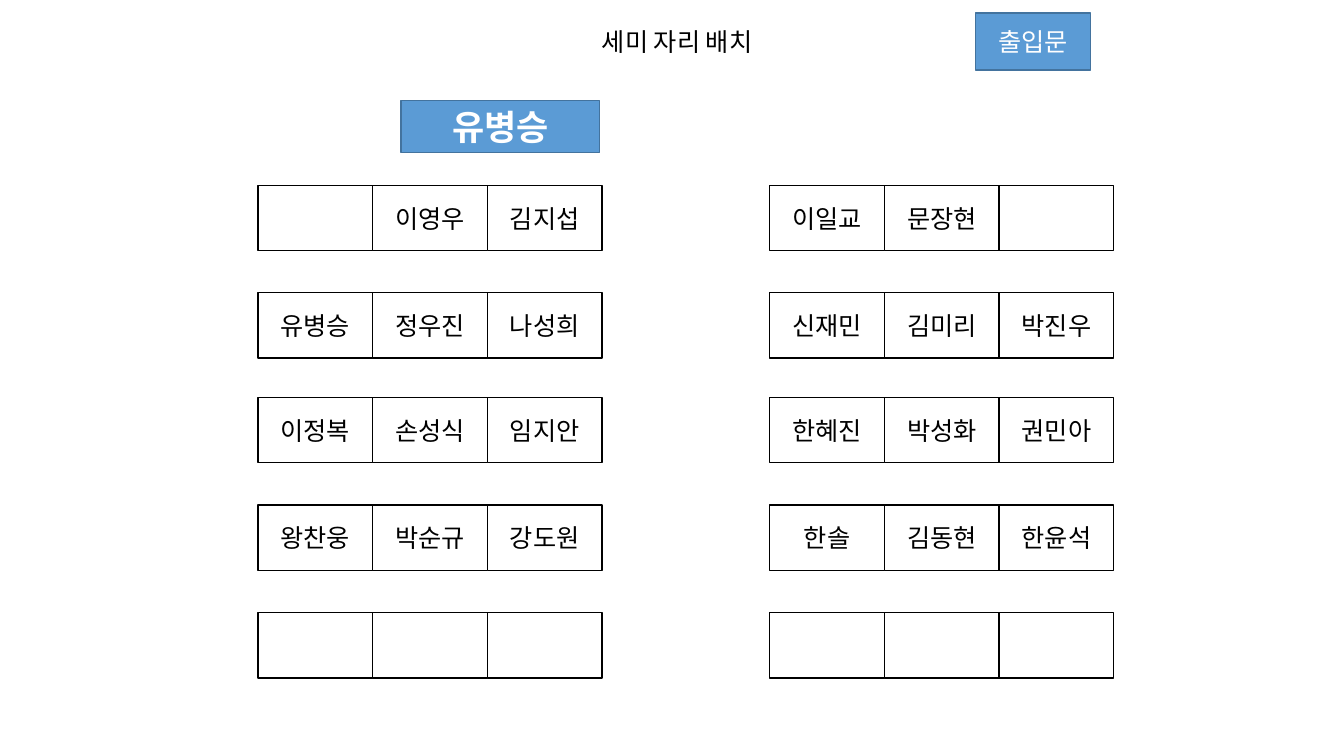
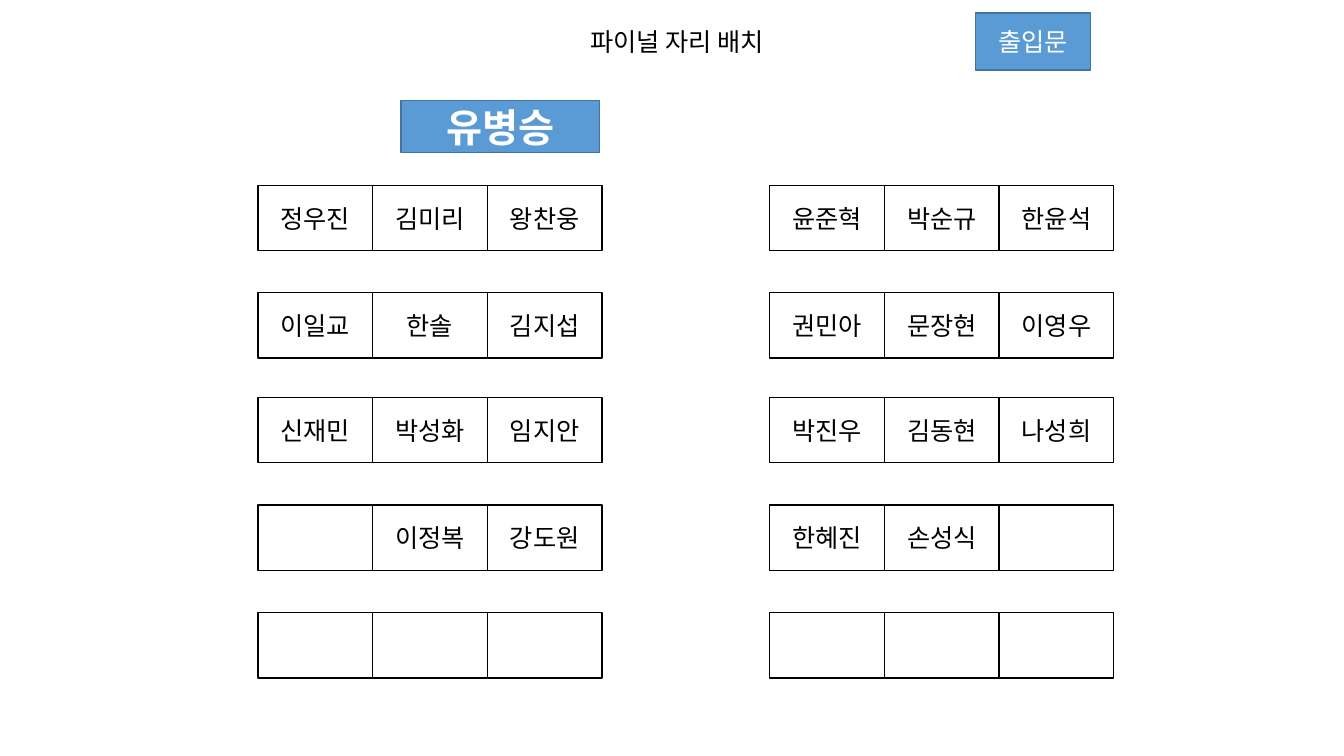
"""Build two seating charts that share one room layout."""
import lxml.etree
import pptx
import pptx.dml.color
import pptx.enum.shapes
import pptx.enum.text
import pptx.oxml.ns
import pptx.util

Cm, Pt = pptx.util.Cm, pptx.util.Pt

FONT = "Noto Sans CJK KR"
BLACK, WHITE, BLUE, NAVY = "000000", "FFFFFF", "5B9BD5", "43739E"

CHARTS = [
    {
        "title": "세미 자리 배치",
        "leader_size": 25,
        "rows": [
            (("", "이영우", "김지섭"), ("이일교", "문장현", "")),
            (("유병승", "정우진", "나성희"), ("신재민", "김미리", "박진우")),
            (("이정복", "손성식", "임지안"), ("한혜진", "박성화", "권민아")),
            (("왕찬웅", "박순규", "강도원"), ("한솔", "김동현", "한윤석")),
            (("", "", ""), ("", "", "")),
        ],
    },
    {
        "title": "파이널 자리 배치",
        "leader_size": 28,
        "rows": [
            (("정우진", "김미리", "왕찬웅"), ("윤준혁", "박순규", "한윤석")),
            (("이일교", "한솔", "김지섭"), ("권민아", "문장현", "이영우")),
            (("신재민", "박성화", "임지안"), ("박진우", "김동현", "나성희")),
            (("", "이정복", "강도원"), ("한혜진", "손성식", "")),
            (("", "", ""), ("", "", "")),
        ],
    },
]
LEADER, DOOR = "유병승", "출입문"

ROW_TOPS = (4.67, 7.37, 10.01, 12.73, 15.44)
BLOCK_LEFTS = (6.5, 19.4)
SEAT_W, SEAT_H = 2.89, 1.65
LEADER_BOX = (10.11, 2.54, 5, 1.3)
DOOR_BOX = (24.59, 0.33, 2.89, 1.44)
TITLE_BOX = (11.07, 0.53, 11.99, 1.02)


def rgb(value):
    return pptx.dml.color.RGBColor.from_string(value)


def write(tf, text, color, size=18, bold=False):
    tf.word_wrap = True
    p = tf.paragraphs[0]
    p.alignment = pptx.enum.text.PP_ALIGN.CENTER
    if not text:
        return
    r = p.add_run()
    r.text = text
    r.font.name = FONT
    r.font.size = Pt(size)
    r.font.bold = bold
    r.font.color.rgb = rgb(color)
    ea = lxml.etree.SubElement(r._r.get_or_add_rPr(), pptx.oxml.ns.qn("a:ea"))
    ea.set("typeface", FONT)


def add_box(s, box, text, fill, line, color, size=18, bold=False):
    sp = s.shapes.add_shape(
        pptx.enum.shapes.MSO_SHAPE.RECTANGLE, *(Cm(v) for v in box))
    sp.shadow.inherit = False
    sp.fill.solid()
    sp.fill.fore_color.rgb = rgb(fill)
    sp.line.color.rgb = rgb(line)
    sp.line.width = Pt(1)
    sp.text_frame.vertical_anchor = pptx.enum.text.MSO_ANCHOR.MIDDLE
    write(sp.text_frame, text, color, size, bold)


def add_title(s, text):
    tf = s.shapes.add_textbox(*(Cm(v) for v in TITLE_BOX)).text_frame
    tf.auto_size = pptx.enum.text.MSO_AUTO_SIZE.SHAPE_TO_FIT_TEXT
    write(tf, text, BLACK)


def add_chart_slide(prs, chart):
    s = prs.slides.add_slide(prs.slide_layouts[6])
    for top, blocks in zip(ROW_TOPS, chart["rows"]):
        for left, names in zip(BLOCK_LEFTS, blocks):
            for i, name in enumerate(names):
                seat = (left + i * SEAT_W, top, SEAT_W, SEAT_H)
                add_box(s, seat, name, WHITE, BLACK, BLACK)
    add_box(s, LEADER_BOX, LEADER, BLUE, NAVY, WHITE, chart["leader_size"], True)
    add_box(s, DOOR_BOX, DOOR, BLUE, NAVY, WHITE)
    add_title(s, chart["title"])


def main():
    prs = pptx.Presentation()
    prs.slide_width, prs.slide_height = Cm(33.87), Cm(19.05)
    for chart in CHARTS:
        add_chart_slide(prs, chart)
    prs.save("out.pptx")


if __name__ == "__main__":
    main()
